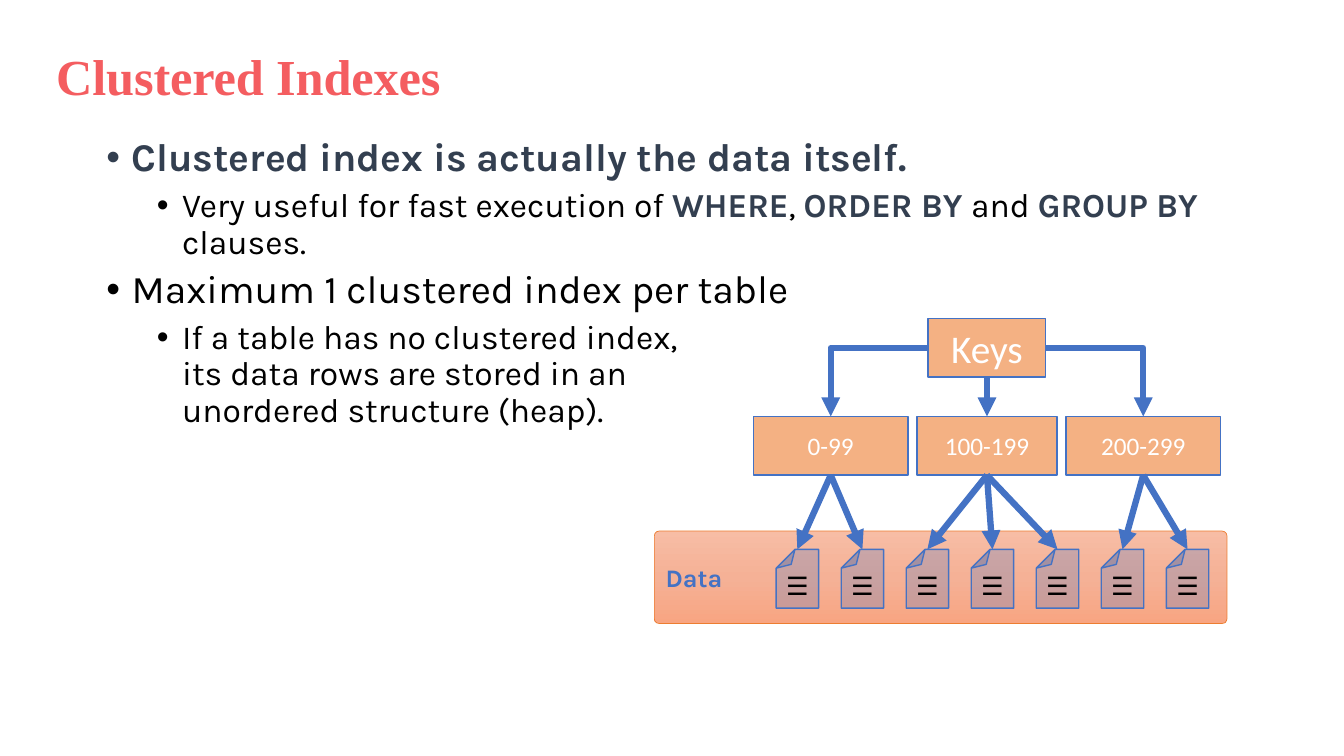
from collections import namedtuple
from copy import deepcopy
from dataclasses import dataclass

from lxml import etree
from pptx import Presentation
from pptx.dml.color import RGBColor
from pptx.enum import shapes, text
from pptx.oxml import ns
from pptx.util import Pt

Box = namedtuple("Box", "x y w h")


@dataclass(frozen=True)
class Theme:
    """Colours, fonts and type sizes of the slide."""
    title: str = "F45D60"
    strong: str = "333F50"
    body: str = "000000"
    blue: str = "4472C4"
    key: str = "F4B183"
    light: str = "FFFFFF"
    panel_line: str = "ED7D31"
    panel: tuple = ("F7BDA5", "F5B196", "F8A582")
    title_font: str = "Times New Roman"
    body_font: str = "Karla"
    key_font: str = "Calibri"
    icon_font: str = "Noto Sans Mono"
    title_size: int = 36
    body_sizes: tuple = (28, 24)
    label_size: int = 18


T = Theme()
BULLETS = [
    (0, [("Clustered index is actually the data itself.", True)]),
    (1, [("Very useful for fast execution of ", False), ("WHERE", True),
         (", ", False), ("ORDER BY ", True), ("and ", False),
         ("GROUP BY ", True), ("clauses.", False)]),
    (0, [("Maximum 1 clustered index per table", False)]),
    (1, [("If a table has no clustered index, \vits data rows are stored in an "
          "\vunordered structure (heap).", False)]),
]
RANGES = [("0-99", 110.2, 2), ("100-199", 100.2, 3), ("200-299", 110.2, 2)]


def rgb(color):
    """Turn a hex string into a colour."""
    return RGBColor.from_string(color)


def sub(parent, tag, **attrs):
    """Append a DrawingML element."""
    return etree.SubElement(parent, ns.qn(tag), attrs)


def style(r, font, size, color, bold=False):
    """Format one run."""
    r.font.name, r.font.size, r.font.bold = font, Pt(size), bold
    r.font.color.rgb = rgb(color)


def add_text(s, box):
    """Add a wrapping text box and return its frame."""
    tf = s.shapes.add_textbox(*map(Pt, box)).text_frame
    tf.word_wrap = True
    return tf


def add_shape(s, kind, box, fill, line, width=1):
    """Add a flat shape with a solid fill and an outline."""
    sp = s.shapes.add_shape(kind, *map(Pt, box))
    sp.shadow.inherit = False
    sp.fill.solid()
    sp.fill.fore_color.rgb = rgb(fill)
    sp.line.color.rgb = rgb(line)
    sp.line.width = Pt(width)
    return sp


def add_arrow(s, start, site, x, y, kind=shapes.MSO_CONNECTOR.STRAIGHT):
    """Draw an arrow from a side of a shape to a point."""
    cxn = s.shapes.add_connector(kind, 0, 0, Pt(x), Pt(y))
    cxn.begin_connect(start, site)
    cxn.line.color.rgb = rgb(T.blue)
    cxn.line.width = Pt(4.5)
    sub(cxn.line._get_or_add_ln(), "a:tailEnd", type="triangle")
    sub(cxn._element.spPr, "a:effectLst")
    return cxn


def title(s, box):
    """Place the slide title."""
    tf = add_text(s, box)
    tf.text = "Clustered Indexes"
    r = tf.paragraphs[0].runs[0]
    style(r, T.title_font, T.title_size, T.title, True)
    r.font._element.set("spc", "-10")


def bullet_list(s, box):
    """Place the two-level bullet list."""
    tf = add_text(s, box)
    for i, (level, parts) in enumerate(BULLETS):
        p = tf.add_paragraph() if i else tf.paragraphs[0]
        p.level = level
        pPr = p._p.get_or_add_pPr()
        pPr.set("marL", str(Pt(18 + 36 * level)))
        pPr.set("indent", str(Pt(-18)))
        sub(pPr, "a:buFont", typeface="Arial")
        sub(pPr, "a:buChar", char="•")
        p.line_spacing = 0.9
        p.space_before = Pt(3 if i else 0)
        p.space_after = Pt(3)
        for words, bold in parts:
            for n, row in enumerate(words.split("\v")):
                if n:
                    p.add_line_break()
                r = p.add_run()
                r.text = row
                style(r, T.body_font, T.body_sizes[level],
                      T.strong if bold else T.body, bold)


def key_box(s, label, size, box):
    """Place an index node with a centred label."""
    sp = add_shape(s, shapes.MSO_SHAPE.RECTANGLE, box, T.key, T.blue)
    tf = sp.text_frame
    tf.text = label
    tf.vertical_anchor = text.MSO_ANCHOR.MIDDLE
    p = tf.paragraphs[0]
    p.alignment = text.PP_ALIGN.CENTER
    style(p.runs[0], T.key_font, size, T.light)
    return sp


def data_page(s, box):
    """Place a translucent page with a row icon."""
    sp = add_shape(s, shapes.MSO_SHAPE.FOLDED_CORNER, box, T.blue, T.blue)
    sp.rotation = 180
    spPr = sp._element.spPr
    guides = spPr.prstGeom.get_or_add_avLst()
    guides.clear()
    sub(guides, "a:gd", name="adj", fmla="val 44200")
    fill = next(spPr.iter(ns.qn("a:srgbClr")))
    sub(fill, "a:alpha", val="25000")
    tf = add_text(s, Box(box.x - 9, box.y + 11.5, box.w + 18, 29))
    tf.text = "☰"
    p = tf.paragraphs[0]
    p.alignment = text.PP_ALIGN.CENTER
    style(p.runs[0], T.icon_font, T.label_size, T.body, True)


def data_panel(s, box):
    """Place the data panel and return the top centre of each page."""
    sp = add_shape(s, shapes.MSO_SHAPE.ROUNDED_RECTANGLE, box,
                   T.panel[0], T.panel_line, 0.5)
    sp.adjustments[0] = 0.05
    sp.fill.gradient()
    sp.fill.gradient_angle = 270
    stops = next(sp._element.spPr.iter(ns.qn("a:gsLst")))
    stops.insert(1, deepcopy(stops[0]))
    for i, (stop, color) in enumerate(zip(sp.fill.gradient_stops, T.panel)):
        stop.position = i / 2
        stop.color.rgb = rgb(color)
    tf = sp.text_frame
    tf.text = "Data"
    tf.vertical_anchor = text.MSO_ANCHOR.MIDDLE
    p = tf.paragraphs[0]
    p.alignment = text.PP_ALIGN.LEFT
    style(p.runs[0], T.body_font, T.label_size, T.blue, True)
    pages = [Box(box.x + 87 + 46.45 * i, box.y + 13, 30.3, 42)
             for i in range(sum(count for _, _, count in RANGES))]
    for page in pages:
        data_page(s, page)
    return [(page.x + page.w / 2, page.y) for page in pages]


def index_tree(s, box):
    """Place the keys, their ranges and the data pages they point to."""
    mid, pitch, h = box.x + 237.6, 111.6, 42
    range_y = box.y + 70
    root = key_box(s, "Keys", 28, Box(mid - 42, box.y, 84, h))
    tops = iter(data_panel(s, Box(box.x, box.y + box.h - 66, box.w, 66)))
    elbow, straight = shapes.MSO_CONNECTOR.ELBOW, shapes.MSO_CONNECTOR.STRAIGHT
    routes = [(1, elbow), (2, straight), (3, elbow)]
    for i, ((label, w, count), (site, kind)) in enumerate(zip(RANGES, routes)):
        x = mid + (i - 1) * pitch
        node = key_box(s, label, T.label_size, Box(x - w / 2, range_y, w, h))
        cxn = add_arrow(s, root, site, x, range_y, kind)
        cxn.end_connect(node, 0)
        if kind == elbow:
            cxn._element.spPr.prstGeom.set("prst", "bentConnector2")
        for _ in range(count):
            add_arrow(s, node, 2, *next(tops))


def main():
    """Build and save the slide."""
    prs = Presentation()
    prs.slide_width, prs.slide_height = Pt(960), Pt(540)
    s = prs.slides.add_slide(prs.slide_layouts[6])
    title(s, Box(33, 29, 481, 51))
    bullet_list(s, Box(69, 95, 822, 350))
    index_tree(s, Box(467.4, 227.4, 409, 218))
    prs.save("out.pptx")


if __name__ == "__main__":
    main()
